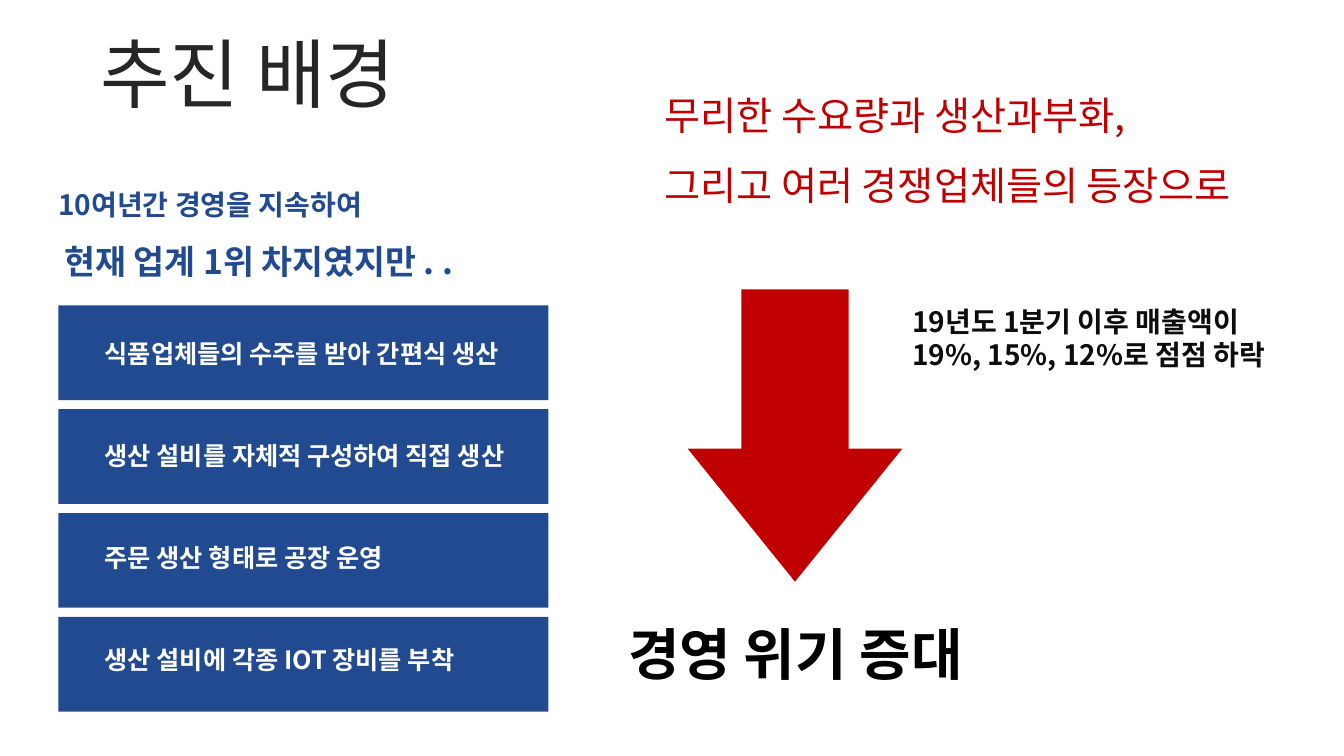
from dataclasses import dataclass

from lxml.etree import SubElement
from pptx import Presentation
from pptx.dml.color import RGBColor
from pptx.enum.shapes import MSO_SHAPE
from pptx.enum.text import MSO_ANCHOR, PP_ALIGN
from pptx.oxml.ns import qn
from pptx.util import Inches, Pt


@dataclass(frozen=True)
class Theme:
    font: str = "Noto Sans CJK KR"
    blue: str = "224A90"
    red: str = "C00000"
    white: str = "FFFFFF"
    black: str = "000000"
    ink: str = "0D0D0D"
    title_ink: str = "262626"
    title: int = 54
    conclusion: int = 40
    cause: int = 28
    emphasis: int = 24
    body: int = 20
    label: int = 18


@dataclass(frozen=True)
class Line:
    text: str
    size: int
    color: str
    bold: bool = True
    spacing: float = 1.0
    indent: float = 0
    align: PP_ALIGN = PP_ALIGN.LEFT


class SlideBuilder:
    def __init__(self, presentation, theme):
        self.width = presentation.slide_width
        self.height = presentation.slide_height
        self.theme = theme
        self.slide = presentation.slides.add_slide(presentation.slide_layouts[6])

    def place(self, left, top, width, height):
        return (
            round(self.width * left / 100),
            round(self.height * top / 100),
            round(self.width * width / 100),
            round(self.height * height / 100),
        )

    def add_block(self, kind, area, color):
        shape = self.slide.shapes.add_shape(kind, *self.place(*area))
        shape.shadow.inherit = False
        shape.fill.solid()
        shape.fill.fore_color.rgb = RGBColor.from_string(color)
        shape.line.fill.background()
        return shape

    def add_text(self, area, lines, anchor=MSO_ANCHOR.TOP):
        frame = self.slide.shapes.add_textbox(*self.place(*area)).text_frame
        frame.word_wrap = True
        frame.vertical_anchor = anchor
        for index, line in enumerate(lines):
            paragraph = frame.add_paragraph() if index else frame.paragraphs[0]
            self.write_line(paragraph, line)

    def write_line(self, paragraph, line):
        paragraph.text = line.text
        paragraph.alignment = line.align
        paragraph.line_spacing = line.spacing
        font = paragraph.font
        font.name = self.theme.font
        font.size = Pt(line.size)
        font.bold = line.bold
        font.color.rgb = RGBColor.from_string(line.color)
        properties = paragraph._p.get_or_add_pPr()
        if line.indent:
            properties.set("marL", str(Inches(line.indent)))
            properties.set("indent", "0")
        east_asian = SubElement(properties.find(qn("a:defRPr")), qn("a:ea"))
        east_asian.set("typeface", self.theme.font)


def main():
    presentation = Presentation()
    presentation.slide_width = Inches(13.33)
    presentation.slide_height = Inches(7.5)
    theme = Theme()
    builder = SlideBuilder(presentation, theme)

    builder.add_text(
        (2.1, 5.07, 32.7, 10.53),
        [Line("추진 배경", theme.title, theme.title_ink, False, 0.9, align=PP_ALIGN.CENTER)],
        MSO_ANCHOR.MIDDLE,
    )

    strengths = [
        "식품업체들의 수주를 받아 간편식 생산",
        "생산 설비를 자체적 구성하여 직접 생산",
        "주문 생산 형태로 공장 운영",
        "생산 설비에 각종 IOT 장비를 부착",
    ]
    for row, strength in enumerate(strengths):
        card = (4.35, 40.4 + 13.73 * row, 36.46, 12.53)
        builder.add_block(MSO_SHAPE.RECTANGLE, card, theme.blue)
        label = (7.05, 44.13 + 13.47 * row, 33.6, 5.33)
        builder.add_text(label, [Line(strength, theme.label, theme.white)])

    arrow = builder.add_block(MSO_SHAPE.DOWN_ARROW, (51.16, 38.27, 15.98, 38.67), theme.red)
    arrow.adjustments[0] = 0.5
    arrow.adjustments[1] = 0.62

    builder.add_text(
        (45.39, 81.2, 27.61, 10.27),
        [Line("경영 위기 증대", theme.conclusion, theme.black, align=PP_ALIGN.CENTER)],
        MSO_ANCHOR.MIDDLE,
    )
    builder.add_text(
        (3.6, 21.87, 48.69, 15.33),
        [
            Line("10여년간 경영을 지속하여", theme.body, theme.blue, spacing=1.5),
            Line("현재 업계 1위 차지였지만 . .", theme.emphasis, theme.blue, spacing=1.5, indent=0.06),
        ],
    )
    causes = ["무리한 수요량과 생산과부화,", "그리고 여러 경쟁업체들의 등장으로"]
    builder.add_text(
        (48.69, 8.27, 48.69, 19.33),
        [Line(cause, theme.cause, theme.red, False, 1.5) for cause in causes],
    )
    builder.add_text(
        (67.14, 39.6, 29.41, 10.27),
        [Line("19년도 1분기 이후 매출액이 19%, 15%, 12%로 점점 하락", theme.body, theme.ink)],
    )

    presentation.save("out.pptx")


if __name__ == "__main__":
    main()
